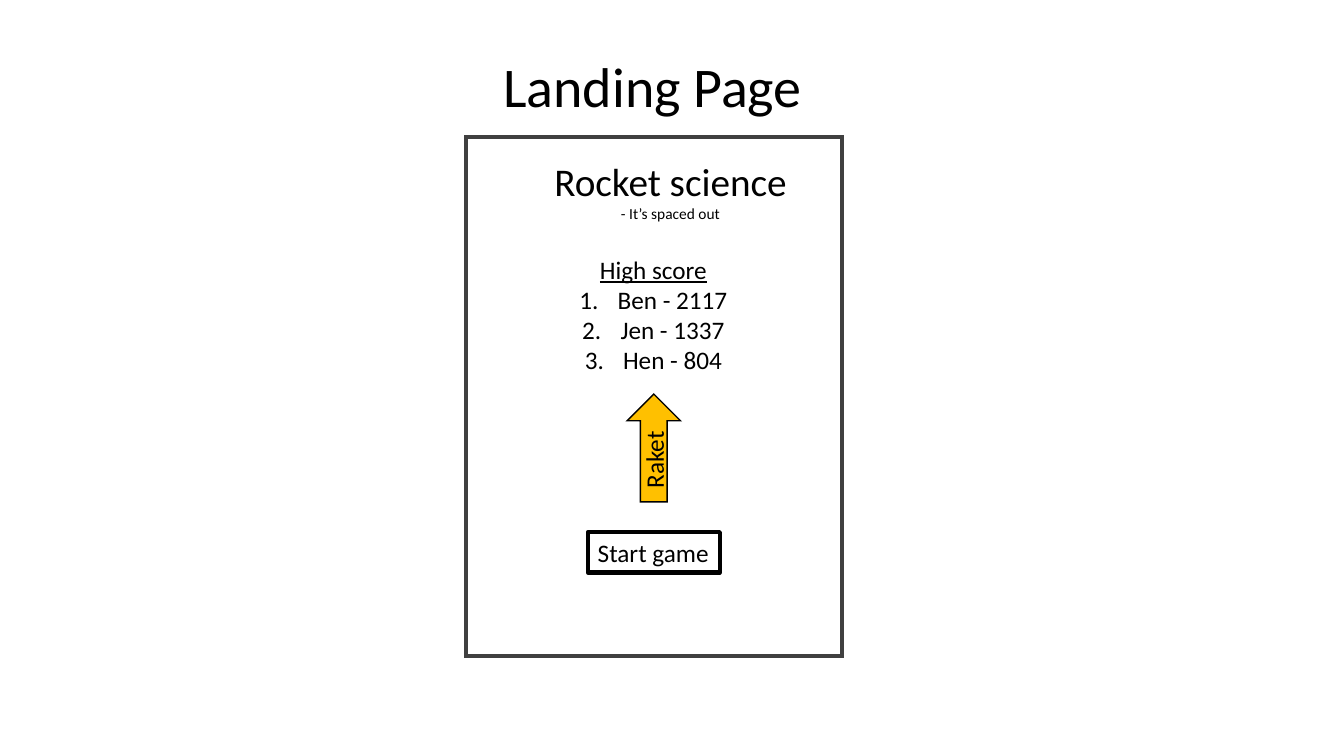
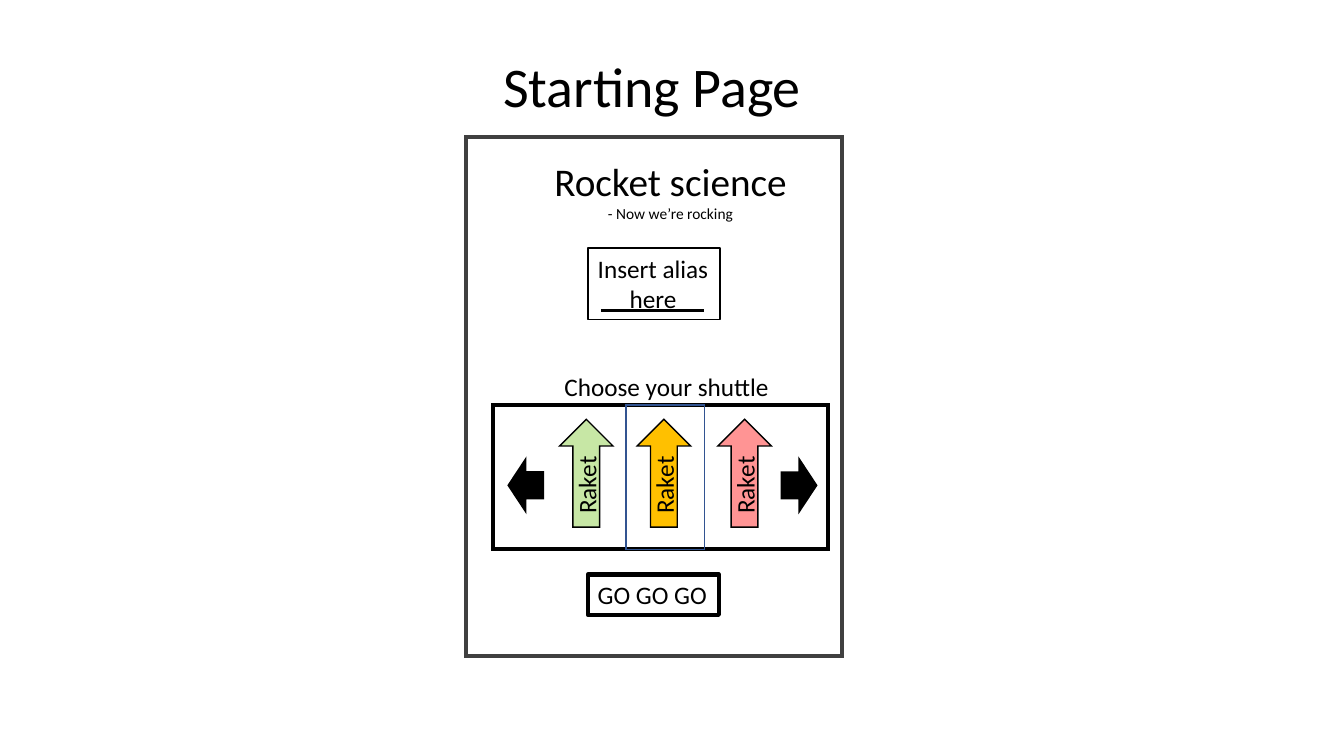
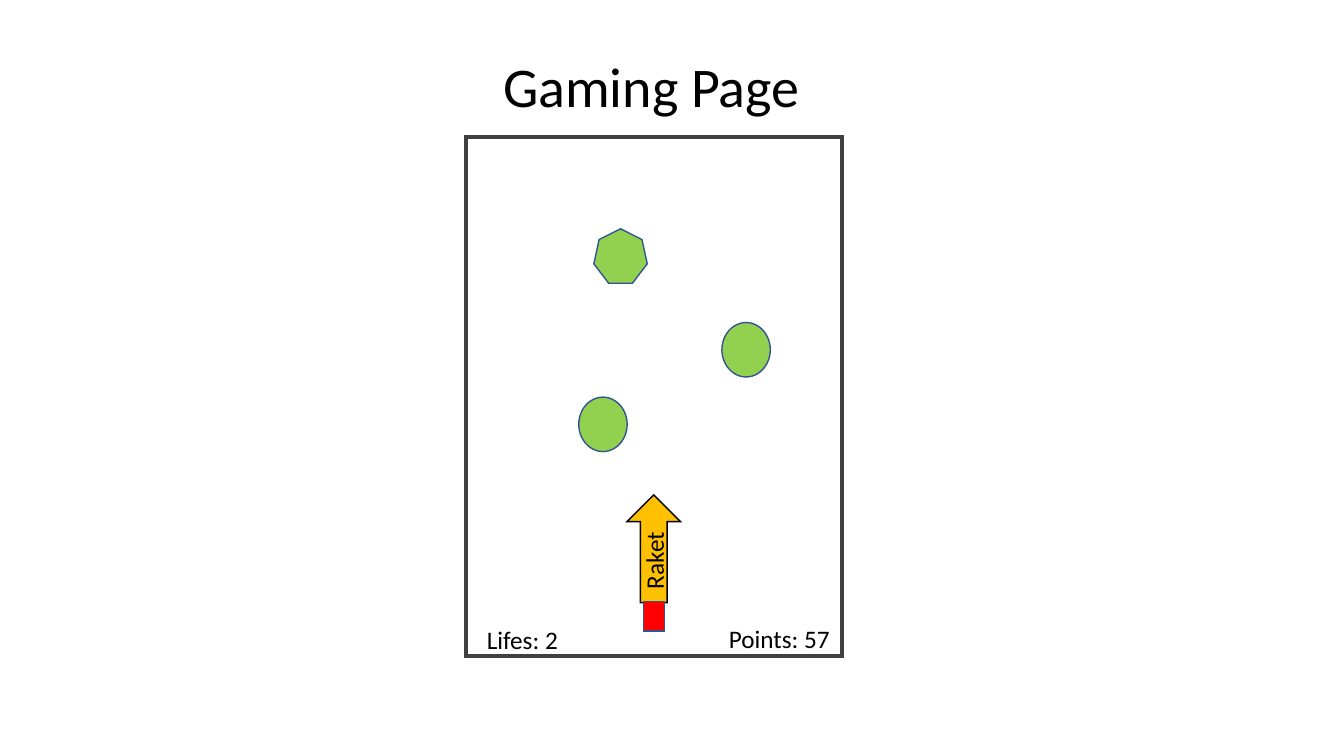
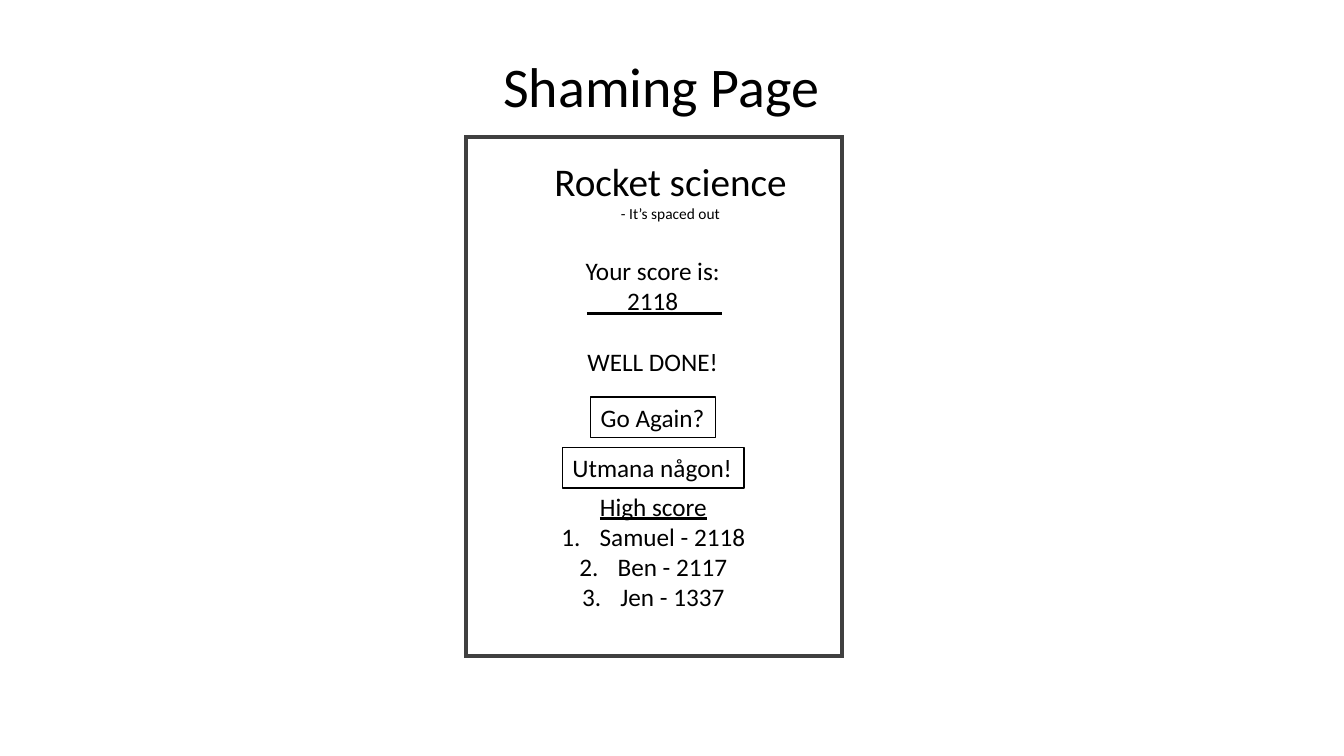
"""Build the four wireframe pages of a rocket game."""
from dataclasses import dataclass

from lxml import etree
from pptx import Presentation
from pptx.dml.color import RGBColor
from pptx.enum.shapes import MSO_CONNECTOR, MSO_SHAPE
from pptx.enum.text import MSO_ANCHOR, MSO_AUTO_SIZE, PP_ALIGN
from pptx.oxml.ns import qn
from pptx.util import Inches, Pt

LEFT, CENTER = PP_ALIGN.LEFT, PP_ALIGN.CENTER
TOP = MSO_ANCHOR.TOP
GROW = MSO_AUTO_SIZE.SHAPE_TO_FIT_TEXT
STRAIGHT = MSO_CONNECTOR.STRAIGHT
RECTANGLE, OVAL, HEPTAGON = MSO_SHAPE.RECTANGLE, MSO_SHAPE.OVAL, MSO_SHAPE.HEPTAGON
UP_ARROW, LEFT_ARROW = MSO_SHAPE.UP_ARROW, MSO_SHAPE.LEFT_ARROW

BLACK = RGBColor(0x00, 0x00, 0x00)
WHITE = RGBColor(0xFF, 0xFF, 0xFF)
GRAY = RGBColor(0x40, 0x40, 0x40)
BLUE = RGBColor(0x32, 0x54, 0x91)
GOLD = RGBColor(0xFF, 0xC0, 0x00)
RED = RGBColor(0xFF, 0x00, 0x00)
GREEN = RGBColor(0x92, 0xD0, 0x50)

FONT = "Calibri"
TITLE_ONLY = 5
HANGING = Inches(0.38)


@dataclass(frozen=True)
class Area:
    """Position and size in inches."""

    left: float
    top: float
    width: float
    height: float

    def lengths(self):
        """Return the four values as lengths."""
        return [Inches(side) for side in (self.left, self.top, self.width, self.height)]


@dataclass(frozen=True)
class Line:
    """One paragraph and its format."""

    text: str
    size: float = 18
    align: PP_ALIGN = LEFT
    underline: bool = False
    numbered: bool = False
    before: float = 0


@dataclass(frozen=True)
class Rocket:
    """A rocket with its corner, colour and opacity in percent."""

    left: float
    top: float
    color: RGBColor = GOLD
    opacity: int = 100


@dataclass(frozen=True)
class Obstacle:
    """A body to steer around."""

    kind: MSO_SHAPE
    left: float
    top: float
    width: float


def write(para, text: str, *, size: float = 18, align: PP_ALIGN = LEFT,
          underline: bool = False, numbered: bool = False, before: float = 0) -> None:
    """Write formatted text into a paragraph."""
    para.alignment = align
    para.space_before = Pt(before)
    span = para.add_run()
    span.text = text
    font = span.font
    font.name, font.size, font.underline = FONT, Pt(size), underline
    font.color.rgb = BLACK
    if numbered:
        properties = para._p.get_or_add_pPr()
        properties.set("marL", str(HANGING))
        properties.set("indent", str(-HANGING))
        etree.SubElement(properties, qn("a:buFont"), typeface="+mj-lt")
        etree.SubElement(properties, qn("a:buAutoNum"), type="arabicPeriod")


def paint(shape, fill: RGBColor | None, line: RGBColor | None, weight: float) -> None:
    """Set the fill and outline of a shape."""
    if fill is None:
        shape.fill.background()
    else:
        shape.fill.solid()
        shape.fill.fore_color.rgb = fill
    if line is None:
        shape.line.fill.background()
    else:
        shape.line.color.rgb = line
        shape.line.width = Pt(weight)


def add_text(page, area: Area, *lines: Line, rotation: float = 0,
             fill: RGBColor | None = None, line: RGBColor | None = None,
             weight: float = 1):
    """Add a text box that holds the given lines."""
    box = page.shapes.add_textbox(*area.lengths())
    box.rotation = rotation
    paint(box, fill, line, weight)
    frame = box.text_frame
    frame.word_wrap = False
    frame.auto_size = GROW
    for number, item in enumerate(lines):
        para = frame.add_paragraph() if number else frame.paragraphs[0]
        write(para, item.text, size=item.size, align=item.align, before=item.before,
              underline=item.underline, numbered=item.numbered)
    return box


def add_figure(page, kind: MSO_SHAPE, area: Area, *, fill: RGBColor | None = None,
               line: RGBColor = BLACK, weight: float = 1, rotation: float = 0,
               opacity: int = 100):
    """Add a preset shape with sharp corners."""
    shape = page.shapes.add_shape(kind, *area.lengths())
    shape.shadow.inherit = False
    shape.rotation = rotation
    paint(shape, fill, line, weight)
    etree.SubElement(shape.line._get_or_add_ln(), qn("a:miter"), lim="800000")
    if opacity < 100:
        color = shape._element.spPr.find(qn("a:solidFill"))[0]
        etree.SubElement(color, qn("a:alpha"), val=str(opacity * 1000))
    return shape


def add_rule(page, left: float, right: float, top: float) -> None:
    """Draw the writing line beneath a field."""
    rule = page.shapes.add_connector(
        STRAIGHT, Inches(left), Inches(top), Inches(right), Inches(top))
    rule.line.color.rgb = BLACK
    rule.line.width = Pt(1.5)
    etree.SubElement(rule._element.spPr, qn("a:effectLst"))


def add_page(deck, title: str, width: float):
    """Add a page with its title and screen frame."""
    page = deck.slides.add_slide(deck.slide_layouts[TITLE_ONLY])
    holder = page.shapes.title
    holder.left, holder.top, holder.width, holder.height = Area(
        4.89, 0.46, width, 0.77).lengths()
    frame = holder.text_frame
    frame.word_wrap = False
    frame.auto_size = GROW
    frame.vertical_anchor = TOP
    write(frame.paragraphs[0], title, size=40)
    add_figure(page, RECTANGLE, Area(4.62, 1.36, 3.73, 5.15), line=GRAY, weight=3)
    return page


def add_heading(page, motto: str) -> None:
    """Add the name of the game and its motto."""
    add_text(page, Area(5.4, 1.51, 2.53, 0.76), Line("Rocket science", size=28),
             Line(motto, size=11, align=CENTER))


def add_scores(page, area: Area, *scores: str) -> None:
    """Add the numbered high score list."""
    add_text(page, area, Line("High score", align=CENTER, underline=True),
             *(Line(score, align=CENTER, numbered=True) for score in scores))


def add_rocket(page, rocket: Rocket) -> None:
    """Add a rocket and its upright label."""
    add_figure(page, UP_ARROW, Area(rocket.left, rocket.top, 0.53, 1.07),
               fill=rocket.color, opacity=rocket.opacity)
    add_text(page, Area(rocket.left - 0.12, rocket.top + 0.45, 0.77, 0.4),
             Line("Raket"), rotation=270)


def build_landing(deck) -> None:
    """Build the landing page."""
    page = add_page(deck, "Landing Page", 3.19)
    add_heading(page, "- It’s spaced out")
    add_scores(page, Area(5.64, 2.47, 1.68, 1.31),
               "Ben - 2117", "Jen - 1337", "Hen - 804")
    add_text(page, Area(5.83, 5.28, 1.31, 0.4), Line("Start game"), line=BLACK, weight=3)
    add_rocket(page, Rocket(6.22, 3.91))


def build_starting(deck) -> None:
    """Build the page for the alias and the shuttle."""
    page = add_page(deck, "Starting Page", 3.19)
    add_heading(page, "- Now we’re rocking")
    add_text(page, Area(5.83, 5.7, 1.3, 0.4), Line("GO GO GO"), line=BLACK, weight=3)
    add_text(page, Area(5.83, 2.46, 1.31, 0.71), Line("Insert alias"),
             Line("here", align=CENTER), fill=WHITE, line=BLACK)
    add_rule(page, 5.96, 6.98, 3.08)
    for rocket in (Rocket(6.32, 4.16), Rocket(7.12, 4.16, RED, 42),
                   Rocket(5.55, 4.16, GREEN, 51)):
        add_rocket(page, rocket)
    add_figure(page, RECTANGLE, Area(4.89, 4.02, 3.32, 1.43), weight=3)
    for left, rotation in ((5.04, 0), (7.75, 180)):
        add_figure(page, LEFT_ARROW, Area(left, 4.55, 0.35, 0.53),
                   fill=BLACK, rotation=rotation)
    add_figure(page, RECTANGLE, Area(6.21, 4.02, 0.78, 1.43), line=BLUE)
    add_text(page, Area(5.5, 3.63, 2.26, 0.4), Line("Choose your shuttle"))


def build_gaming(deck) -> None:
    """Build the page of the running game."""
    page = add_page(deck, "Gaming Page", 3.17)
    add_rocket(page, Rocket(6.22, 4.91))
    add_figure(page, RECTANGLE, Area(6.38, 5.97, 0.21, 0.29), fill=RED, line=BLUE)
    for body in (Obstacle(OVAL, 5.74, 3.94, 0.48), Obstacle(OVAL, 7.16, 3.2, 0.48),
                 Obstacle(HEPTAGON, 5.89, 2.27, 0.53)):
        add_figure(page, body.kind, Area(body.left, body.top, body.width, 0.54),
                   fill=GREEN, line=BLUE)
    add_text(page, Area(7.13, 6.13, 1.21, 0.4), Line("Points: 57"))
    add_text(page, Area(4.73, 6.14, 0.92, 0.4), Line("Lifes: 2"))


def build_shaming(deck) -> None:
    """Build the page with the final score."""
    page = add_page(deck, "Shaming Page", 3.37)
    add_heading(page, "- It’s spaced out")
    add_scores(page, Area(5.46, 4.82, 2.04, 1.31),
               "Samuel - 2118", "Ben - 2117", "Jen - 1337")
    add_text(page, Area(5.71, 2.48, 1.58, 1.31), Line("Your score is:"),
             Line("2118", align=CENTER), Line("WELL DONE!", align=CENTER, before=22))
    add_rule(page, 5.82, 7.16, 3.11)
    for text, area in (("Go Again?", Area(5.86, 3.94, 1.24, 0.4)),
                       ("Utmana någon!", Area(5.58, 4.44, 1.8, 0.4))):
        add_text(page, area, Line(text), fill=WHITE, line=BLACK)


def main() -> None:
    """Build and save the deck."""
    deck = Presentation()
    deck.slide_width, deck.slide_height = Inches(13.33), Inches(7.5)
    for build in (build_landing, build_starting, build_gaming, build_shaming):
        build(deck)
    deck.save("out.pptx")


if __name__ == "__main__":
    main()
